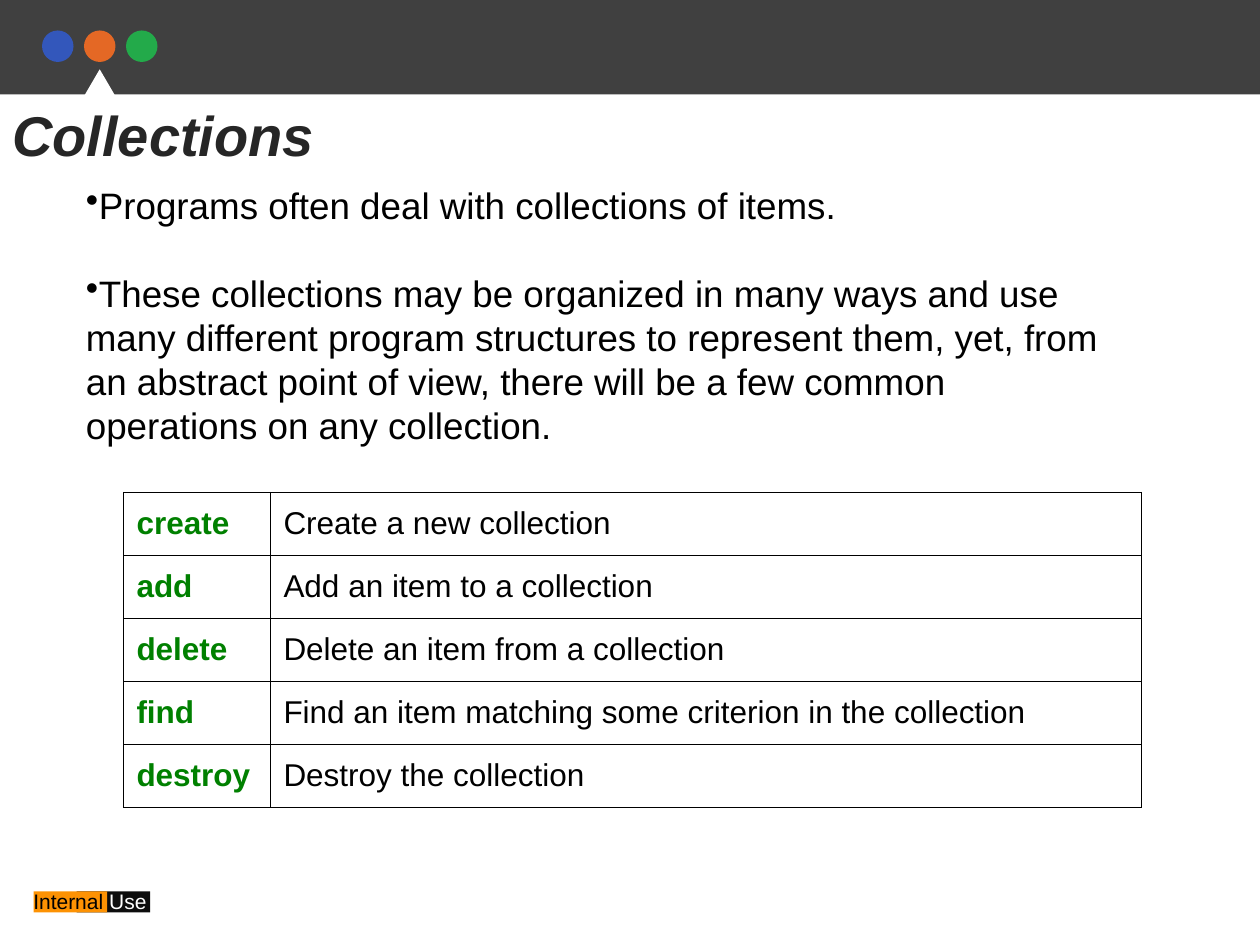
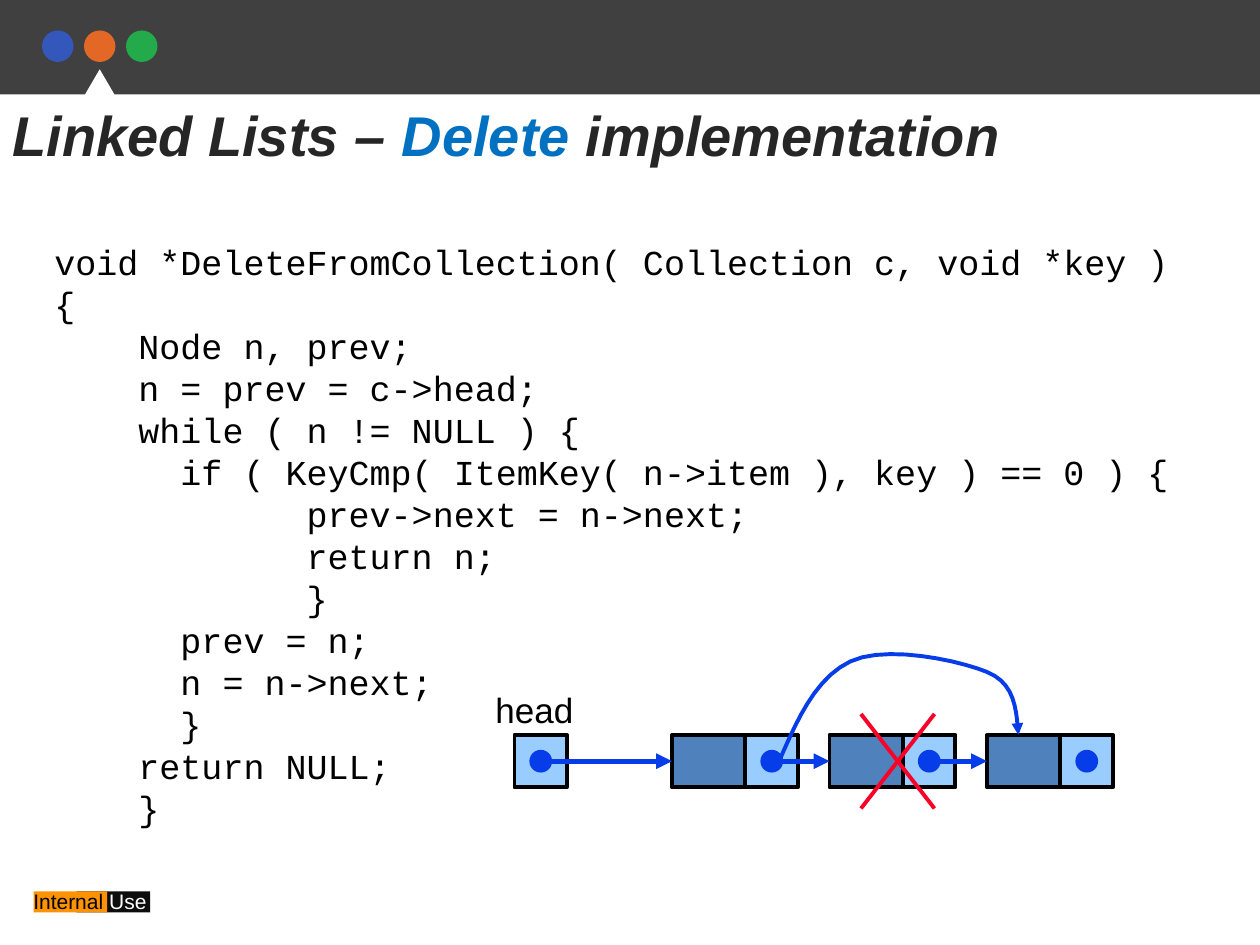
from pptx import Presentation
from pptx.dml.color import RGBColor
from pptx.enum.shapes import MSO_CONNECTOR, MSO_SHAPE
from pptx.enum.text import MSO_ANCHOR
from pptx.oxml.ns import qn
from pptx.util import Emu, Pt
from lxml import etree

PX = 7620  # EMU per px, 120 px to the inch
RECT, OVAL, TRIANGLE = MSO_SHAPE.RECTANGLE, MSO_SHAPE.OVAL, MSO_SHAPE.ISOSCELES_TRIANGLE
STRAIGHT, MIDDLE = MSO_CONNECTOR.STRAIGHT, MSO_ANCHOR.MIDDLE
LEFT_SIDE = 1

BLACK, WHITE, BAND, TITLE = "000000", "FFFFFF", "404040", "262626"
DOTS = ("3357BB", "E46825", "23AA4A")
ORANGE, NEAR_BLACK = "FD9203", "0D0D0D"
KEYWORD, TITLE_ACCENT = "008000", "0070C0"
DATA_FILL, POINTER_FILL, POINTER, CROSS = "4F81BD", "99CCFF", "063DE8", "FC0128"
SANS, MONO = "Arial", "Courier New"


def rgb(value):
    return RGBColor.from_string(value)


def px(*lengths):
    return [Emu(length * PX) for length in lengths]


class Deck:
    def __init__(self):
        self.prs = Presentation()
        self.prs.slide_width, self.prs.slide_height = px(1200, 900)
        self.shapes = None

    # Shared frame: top band, dots, marker, footer tag and title
    def new_slide(self, title_runs):
        self.shapes = self.prs.slides.add_slide(self.prs.slide_layouts[6]).shapes
        self.shape(RECT, 0, 0, 1200, 90, BAND)
        for i, color in enumerate(DOTS):
            self.shape(OVAL, 40 + 40 * i, 29, 30, 30, color)
        self.shape(TRIANGLE, 60, 66, 70, 60, WHITE)
        self.shape(RECT, 73, 849, 70, 20, NEAR_BLACK)
        self.shape(RECT, 32, 849, 70, 20, ORANGE)
        self.text(20, 840, 180, 36, [[("Internal ", BLACK), ("Use", WHITE)]], 12)
        self.text(0, 90, 1200, 77, [title_runs], 32, bold=True, italic=True)

    def shape(self, kind, x, y, w, h, fill, line=None, weight=1):
        shape = self.shapes.add_shape(kind, *px(x, y, w, h))
        shape.shadow.inherit = False
        shape.fill.solid()
        shape.fill.fore_color.rgb = rgb(fill)
        self.outline(shape, line, weight)
        return shape

    def outline(self, shape, color, weight, arrow=False):
        if color is None:
            shape.line.fill.background()
            return
        shape.line.color.rgb = rgb(color)
        shape.line.width = Pt(weight)
        if arrow:
            ln = shape.line._get_or_add_ln()
            etree.SubElement(ln, qn("a:tailEnd"), type="triangle")

    def style(self, run, size, color, font=SANS, bold=False, italic=False):
        run.font.name, run.font.size = font, Pt(size)
        run.font.bold, run.font.italic = bold, italic
        run.font.color.rgb = rgb(color)

    def text(self, x, y, w, h, paragraphs, size, gap=0,
             bullet=False, wrap=True, **style):
        """Each paragraph is a list of (words, color) pairs."""
        frame = self.shapes.add_textbox(*px(x, y, w, h)).text_frame
        frame.word_wrap = wrap
        for i, runs in enumerate(paragraphs):
            paragraph = frame.add_paragraph() if i else frame.paragraphs[0]
            if bullet:
                props = paragraph._p.get_or_add_pPr()
                props.set("marL", "0")
                props.set("indent", "0")
                etree.SubElement(props, qn("a:buChar"), char="•")
            if i and gap:
                paragraph.space_before = Pt(gap)
            for words, color in runs:
                run = paragraph.add_run()
                run.text = words
                self.style(run, size, color, **style)

    def table(self, x, y, widths, row_height, rows, size):
        table = self.shapes.add_table(
            len(rows), len(widths),
            *px(x, y, sum(widths), row_height * len(rows))).table
        table.first_row = table.horz_banding = False
        for column, width in zip(table.columns, px(*widths)):
            column.width = width
        for r, row in enumerate(rows):
            for c, words in enumerate(row):
                cell = table.cell(r, c)
                cell.text_frame.text = words
                cell.vertical_anchor = MIDDLE
                self.style(cell.text_frame.paragraphs[0].runs[0], size,
                           BLACK if c else KEYWORD, bold=c == 0)
                self.borders(cell)

    def borders(self, cell):
        props = cell._tc.get_or_add_tcPr()
        for side in ("lnL", "lnR", "lnT", "lnB"):
            ln = etree.SubElement(props, qn("a:" + side), w=str(Pt(0.75)))
            fill = etree.SubElement(ln, qn("a:solidFill"))
            etree.SubElement(fill, qn("a:srgbClr"), val=BLACK)
        cell.fill.background()

    def line(self, x1, y1, x2, y2, color, weight, target=None):
        line = self.shapes.add_connector(STRAIGHT, *px(x1, y1, x2, y2))
        self.outline(line, color, weight, arrow=target is not None)
        etree.SubElement(line._element.spPr, qn("a:effectLst"))
        if target is not None:
            line.end_connect(target, LEFT_SIDE)

    def curve(self, start, beziers, color, weight, steps=10):
        points = []
        origin = start
        for a, b, end in beziers:
            for t in (i / steps for i in range(1, steps + 1)):
                u = 1 - t
                points.append(tuple(
                    round((u**3 * p + 3 * u * u * t * q + 3 * u * t * t * r + t**3 * s) * PX)
                    for p, q, r, s in zip(origin, a, b, end)))
            origin = end
        builder = self.shapes.build_freeform(start[0] * PX, start[1] * PX)
        builder.add_line_segments(points, close=False)
        curve = builder.convert_to_shape()
        curve.shadow.inherit = False
        curve.fill.background()
        self.outline(curve, color, weight, arrow=True)

    # Linked-list parts
    def pointer_cell(self, x, y):
        self.shape(RECT, x, y, 50, 50, POINTER_FILL, BLACK, 2.25)
        self.shape(OVAL, x + 15, y + 15, 20, 20, POINTER, POINTER)

    def node(self, x, y):
        data = self.shape(RECT, x, y, 70, 50, DATA_FILL, BLACK, 2.25)
        self.pointer_cell(x + 70, y)
        return data


def collections_slide(deck):
    deck.new_slide([("Collections", TITLE)])
    points = [
        "Programs often deal with collections of items.",
        "These collections may be organized in many ways and use many different "
        "program structures to represent them, yet, from an abstract point of view, "
        "there will be a few common operations on any collection.",
    ]
    deck.text(70, 168, 1010, 305, [[(point, BLACK)] for point in points], 21,
              gap=25, bullet=True)
    operations = [
        ("create", "Create a new collection"),
        ("add", "Add an item to a collection"),
        ("delete", "Delete an item from a collection"),
        ("find", "Find an item matching some criterion in the collection"),
        ("destroy", "Destroy the collection"),
    ]
    deck.table(118, 469, (140, 829), 60, operations, 18)


def delete_slide(deck):
    deck.new_slide([("Linked Lists – ", TITLE), ("Delete ", TITLE_ACCENT),
                    ("implementation", TITLE)])
    code = [
        "void *DeleteFromCollection( Collection c, void *key )",
        "{",
        "    Node n, prev;",
        "    n = prev = c->head;",
        "    while ( n != NULL ) {",
        "      if ( KeyCmp( ItemKey( n->item ), key ) == 0 ) {",
        "            prev->next = n->next;",
        "            return n;",
        "            }",
        "      prev = n;",
        "      n = n->next;",
        "      }",
        "    return NULL;",
        "    }",
    ]
    deck.text(40, 223, 1130, 570, [[(row, BLACK)] for row in code], 20, font=MONO)

    # Head pointer and the three nodes
    top, middle = 700, 725
    nodes = [deck.node(640 + 150 * i, top) for i in range(3)]
    deck.pointer_cell(490, top)
    deck.text(460, 650, 102, 51, [[("head", BLACK)]], 20, wrap=False)
    for start, end, target in zip((510, 730, 880), (640, 790, 940), nodes):
        deck.line(start, middle, end, middle, POINTER, 3, target)

    # Deleted node crossed out, and the link around it
    deck.line(890, 680, 820, 770, CROSS, 2.25)
    deck.line(820, 680, 890, 770, CROSS, 2.25)
    deck.curve((740, 730), [
        ((758, 688), (776, 646), (810, 630)),
        ((844, 614), (913, 629), (940, 640)),
        ((967, 651), (968, 676), (970, 700)),
    ], POINTER, 2.25)


def main():
    deck = Deck()
    collections_slide(deck)
    delete_slide(deck)
    deck.prs.save("out.pptx")


if __name__ == "__main__":
    main()
